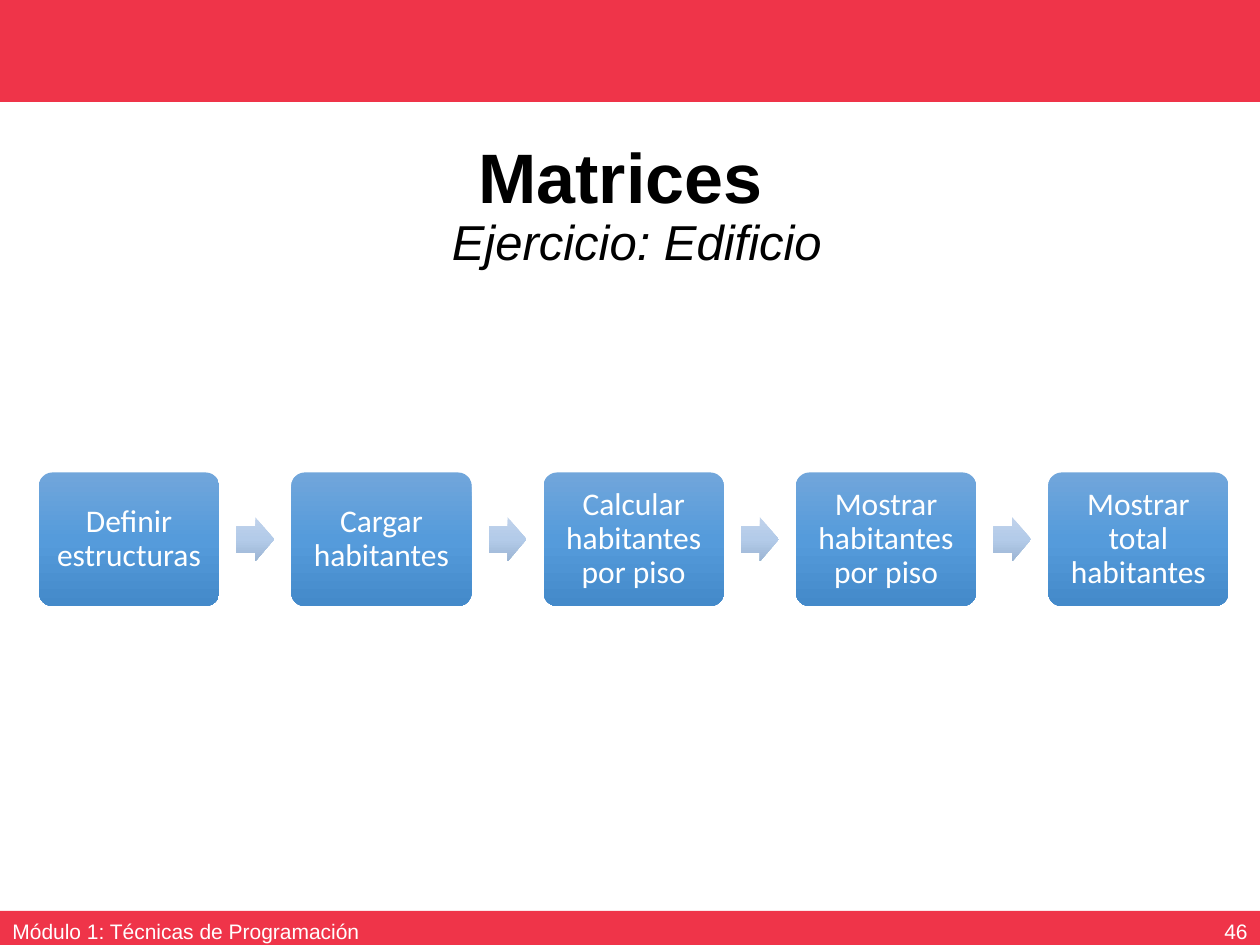
from copy import deepcopy

from pptx import Presentation
from pptx.dml.color import RGBColor
from pptx.enum.shapes import MSO_SHAPE
from pptx.enum.text import MSO_ANCHOR, MSO_AUTO_SIZE, PP_ALIGN
from pptx.util import Inches, Pt

RED, WHITE, BLACK = "EF3449", "FFFFFF", "000000"
STEP_GRADIENT = ["71A6DB", "559BDB", "448ACA"]
ARROW_GRADIENT = ["C0D2EB", "B3CBE9", "9BB4D3"]
STEPS = [
    "Definir estructuras",
    "Cargar habitantes",
    "Calcular habitantes por piso",
    "Mostrar habitantes por piso",
    "Mostrar total habitantes",
]
TITLE_FONT = {"name": "Arial", "size": Pt(40), "bold": True, "italic": False}
SUBTITLE_FONT = {"name": "Arial", "size": Pt(28), "bold": False, "italic": True}
FOOTER_FONT = {"name": "Arial", "size": Pt(12)}
STEP_FONT = {"name": "Calibri", "size": Pt(18)}


def rgb(color):
    return RGBColor.from_string(color)


def format_font(font, values, color):
    for attribute, value in values.items():
        setattr(font, attribute, value)
    font.color.rgb = rgb(color)


def place(slide, preset, left, top, width, height):
    shape = slide.shapes.add_shape(
        preset, Inches(left), Inches(top), Inches(width), Inches(height))
    shape.shadow.inherit = False
    shape.line.fill.background()
    return shape


def add_band(slide, left, top, width, height):
    band = place(slide, MSO_SHAPE.RECTANGLE, left, top, width, height)
    band.fill.solid()
    band.fill.fore_color.rgb = rgb(RED)


def fill_gradient(shape, colors):
    """Spread the colours evenly from top to bottom."""
    fill = shape.fill
    fill.gradient()
    fill.gradient_angle = 270
    stop_list = shape._element.spPr.gradFill.gsLst
    while len(stop_list) < len(colors):
        stop_list.append(deepcopy(stop_list[-1]))
    for index, (stop, color) in enumerate(zip(fill.gradient_stops, colors)):
        stop.position = index / (len(colors) - 1)
        stop.color.rgb = rgb(color)


def add_heading(slide, left, top, width, height):
    heading = slide.shapes.title
    heading.left, heading.top = Inches(left), Inches(top)
    heading.width, heading.height = Inches(width), Inches(height)
    frame = heading.text_frame
    frame.auto_size = MSO_AUTO_SIZE.NONE
    frame.vertical_anchor = MSO_ANCHOR.MIDDLE
    paragraph = frame.paragraphs[0]
    paragraph.alignment = PP_ALIGN.CENTER
    paragraph.line_spacing = 0.9
    topic = paragraph.add_run()
    topic.text = "Matrices "
    format_font(topic.font, TITLE_FONT, BLACK)
    paragraph.add_line_break()
    exercise = paragraph.add_run()
    exercise.text = " Ejercicio: Edificio"
    format_font(exercise.font, SUBTITLE_FONT, BLACK)


def add_footer_text(slide, text, alignment, left, top, width, height):
    footer = slide.shapes.add_textbox(
        Inches(left), Inches(top), Inches(width), Inches(height))
    frame = footer.text_frame
    frame.word_wrap = True
    frame.vertical_anchor = MSO_ANCHOR.MIDDLE
    paragraph = frame.paragraphs[0]
    paragraph.text = text
    paragraph.alignment = alignment
    format_font(paragraph.font, FOOTER_FONT, WHITE)


def add_footer(slide, left, top, width, height):
    add_band(slide, left, top, width, height)
    text_top, text_height, number_width = top - 0.04, 0.4, 2.25
    add_footer_text(slide, "Módulo 1: Técnicas de Programación", PP_ALIGN.LEFT,
                    left, text_top, 3.38, text_height)
    add_footer_text(slide, "46", PP_ALIGN.RIGHT, left + width - number_width,
                    text_top, number_width, text_height)


def add_step(slide, text, left, top, width, height):
    step = place(slide, MSO_SHAPE.ROUNDED_RECTANGLE, left, top, width, height)
    step.adjustments[0] = 0.1
    fill_gradient(step, STEP_GRADIENT)
    frame = step.text_frame
    frame.word_wrap = True
    frame.vertical_anchor = MSO_ANCHOR.MIDDLE
    for side in ("left", "top", "right", "bottom"):
        setattr(frame, f"margin_{side}", Inches(0.1))
    paragraph = frame.paragraphs[0]
    paragraph.text = text
    paragraph.alignment = PP_ALIGN.CENTER
    paragraph.line_spacing = 0.9
    format_font(paragraph.font, STEP_FONT, WHITE)


def add_process(slide, left, top, width, height):
    step_width, arrow_width, arrow_height = 1.43, 0.3, 0.35
    pitch = (width - step_width) / (len(STEPS) - 1)
    arrow_offset = step_width + (pitch - step_width - arrow_width) / 2
    for index, text in enumerate(STEPS):
        step_left = left + index * pitch
        add_step(slide, text, step_left, top, step_width, height)
        if index < len(STEPS) - 1:
            arrow = place(slide, MSO_SHAPE.RIGHT_ARROW, step_left + arrow_offset,
                          top + (height - arrow_height) / 2,
                          arrow_width, arrow_height)
            arrow.adjustments[0] = 0.6
            arrow.adjustments[1] = 0.5
            fill_gradient(arrow, ARROW_GRADIENT)


def main():
    deck = Presentation()
    deck.slide_width, deck.slide_height = Inches(10), Inches(7.5)
    slide = deck.slides.add_slide(deck.slide_layouts.get_by_name("Title Only"))
    # Header band and title
    add_band(slide, 0, 0, 10, 0.81)
    add_heading(slide, 0.69, 0.98, 8.62, 1.33)
    # Module name and page number
    add_footer(slide, 0, 7.23, 10, 0.31)
    # Steps of the exercise
    add_process(slide, 0.31, 3.75, 9.44, 1.06)
    deck.save("out.pptx")


if __name__ == "__main__":
    main()
